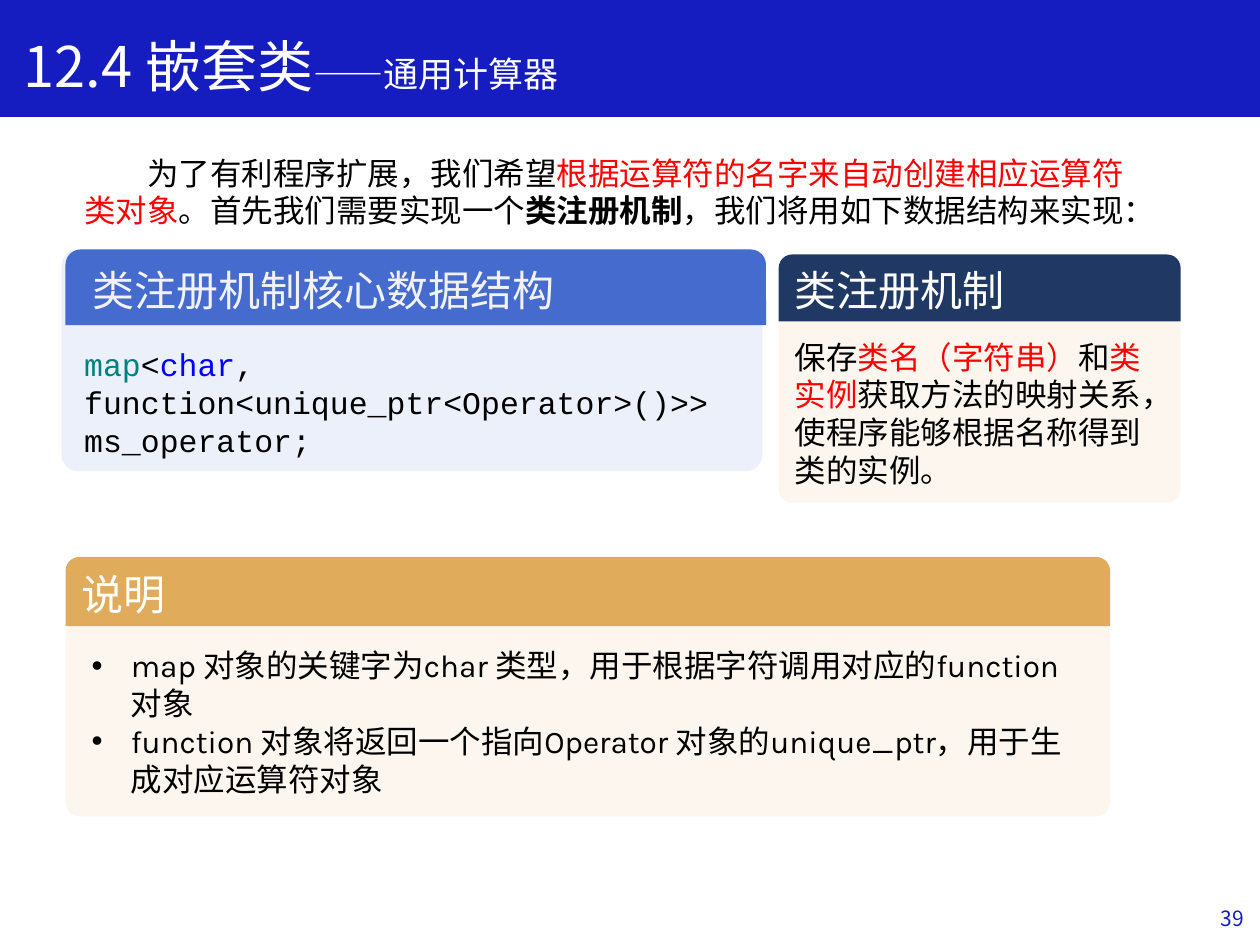
from lxml import etree
from pptx import Presentation
from pptx.dml.color import RGBColor
from pptx.enum.shapes import MSO_SHAPE
from pptx.enum.text import MSO_ANCHOR, PP_ALIGN
from pptx.oxml.ns import qn
from pptx.util import Inches, Pt

COLORS = {
    "blue": "151DC1", "navy": "203864", "royal": "456BCF", "gold": "E0AB5B",
    "ice": "ECF0FA", "cream": "FCF6EE", "white": "FFFFFF", "pale": "F2F2F2",
    "black": "000000", "red": "FF0000", "teal": "008080", "keyword": "0000FF",
}
SANS, MONO, ROUND = "Noto Sans CJK SC", "Courier New", "Karla"
WIDTH, HEIGHT = Inches(10), Inches(7.5)
COLUMN, ROW = WIDTH / 100, HEIGHT / 75
LEADING = 1.2
RED = {"color": "red"}
LATIN = {"face": ROUND}


def color_of(name):
    return RGBColor.from_string(COLORS[name])


def place(box):
    left, top, width, height = box
    return int(left * COLUMN), int(top * ROW), int(width * COLUMN), int(height * ROW)


def inner(box, left, top, width, height):
    return box[0] + left, box[1] + top, width, height


def style(font, color=None, face=None, size=None, bold=None):
    if size:
        font.size = Pt(size)
    if bold:
        font.bold = True
    if color:
        font.fill.solid()
        font.fill.fore_color.rgb = color_of(color)
    if face:
        font.name = face
        etree.SubElement(font._rPr, qn("a:ea"), typeface=face)


def write(frame, paragraphs, size=18, color="black", face=SANS,
          anchor=MSO_ANCHOR.TOP, align=PP_ALIGN.LEFT, first_line=0, bullet=False):
    frame.word_wrap = True
    frame.vertical_anchor = anchor
    for index, spans in enumerate(paragraphs):
        para = frame.add_paragraph() if index else frame.paragraphs[0]
        para.alignment = align
        para.line_spacing = Pt(size * LEADING)
        props = para._p.get_or_add_pPr()
        if first_line:
            props.set("indent", str(Inches(first_line)))
        if bullet:
            props.set("marL", str(Inches(0.31)))
            props.set("indent", str(-Inches(0.31)))
            etree.SubElement(props, qn("a:buFont"), typeface="Arial")
            etree.SubElement(props, qn("a:buChar"), char="•")
        style(para.font, color, face, size)
        for text, changes in spans:
            span = para.add_run()
            span.text = text
            style(span.font, **changes)


def add_text(page, box, paragraphs, **options):
    frame = page.shapes.add_textbox(*place(box)).text_frame
    write(frame, paragraphs, **options)


def add_panel(page, kind, box, fill, corners=()):
    panel = page.shapes.add_shape(kind, *place(box))
    panel.shadow.inherit = False
    panel.fill.solid()
    panel.fill.fore_color.rgb = color_of(fill)
    panel.line.fill.background()
    for index, corner in enumerate(corners):
        panel.adjustments[index] = corner
    return panel


def add_card(page, box, title, head_rows, head_fill, body_fill,
             overlap=0.5, shift=0, inset=0.1, title_color="white"):
    left, top, width, height = box
    body_top = head_rows - overlap
    add_panel(page, MSO_SHAPE.ROUNDED_RECTANGLE,
              (left + shift, top + body_top, width, height - body_top), body_fill, [0.072])
    head = add_panel(page, MSO_SHAPE.ROUND_2_SAME_RECTANGLE,
                     (left, top, width, head_rows), head_fill, [0.201, 0])
    head.text_frame.margin_left = Inches(inset)
    write(head.text_frame, [[(title, {})]], size=24, color=title_color,
          anchor=MSO_ANCHOR.MIDDLE)


def header(page, box):
    bar = add_panel(page, MSO_SHAPE.RECTANGLE, box, "blue")
    bar.line.color.rgb = color_of("blue")
    bar.line.width = Pt(1)
    add_text(page, inner(box, 0.9, 2, 77.7, 6.4),
             [[("12.4 嵌套类", {}), ("——通用计算器", {"size": 20})]],
             size=32, color="white")


def introduction(page, box):
    add_text(page, box, [[
        ("为了有利程序扩展，我们希望", {}),
        ("根据运算符的名字来自动创建相应运算符类对象", RED),
        ("。首先我们需要实现一个", {}),
        ("类注册机制", {"bold": True}),
        ("，我们将用如下数据结构来实现：", {}),
    ]], first_line=0.5)


def data_structure(page, box):
    add_card(page, box, "类注册机制核心数据结构", 6, "royal", "ice",
             overlap=6, shift=-0.3, inset=0.18, title_color="pale")
    add_text(page, inner(box, 0.5, 7.1, 53.4, 10), [
        [("map", {"color": "teal"}), ("<", {}), ("char", {"color": "keyword"}),
         (", function<unique_ptr<Operator>()>>", {})],
        [("ms_operator;", {})],
    ], face=MONO)


def registration(page, box):
    add_card(page, box, "类注册机制", 5.3, "navy", "cream", overlap=0.7)
    add_text(page, inner(box, 0.3, 6.1, 30.5, 13.1), [[
        ("保存", {}), ("类名（字符串）", RED), ("和", {}), ("类实例", RED),
        ("获取方法的映射关系，使程序能够根据名称得到类的实例。", {}),
    ]])


def explanation(page, box):
    add_card(page, box, "说明", 5.5, "gold", "cream")
    add_text(page, inner(box, 1.1, 6.6, 79, 13.1), [
        [("map ", LATIN), ("对象的关键字为", {}), ("char ", LATIN),
         ("类型，用于根据字符调用对应的", {}), ("function ", LATIN), ("对象", {})],
        [("function ", LATIN), ("对象将返回一个指向", {}), ("Operator ", LATIN),
         ("对象的", {}), ("unique_ptr", LATIN), ("，用于生成对应运算符对象", {})],
    ], bullet=True)


def page_number(page, box):
    add_text(page, box, [[("39", {})]], size=12, color="blue",
             anchor=MSO_ANCHOR.MIDDLE, align=PP_ALIGN.RIGHT)


def main():
    deck = Presentation()
    deck.slide_width, deck.slide_height = WIDTH, HEIGHT
    page = deck.slides.add_slide(deck.slide_layouts[6])
    header(page, (0, 0, 100, 9.2))
    introduction(page, (5.7, 11.7, 86.9, 7.1))
    data_structure(page, (5.2, 19.8, 55.6, 17.6))
    registration(page, (61.8, 20.2, 31.9, 19.7))
    explanation(page, (5.2, 44.2, 82.9, 20.6))
    page_number(page, (77.2, 70.9, 22.5, 4))
    deck.save("out.pptx")


if __name__ == "__main__":
    main()
